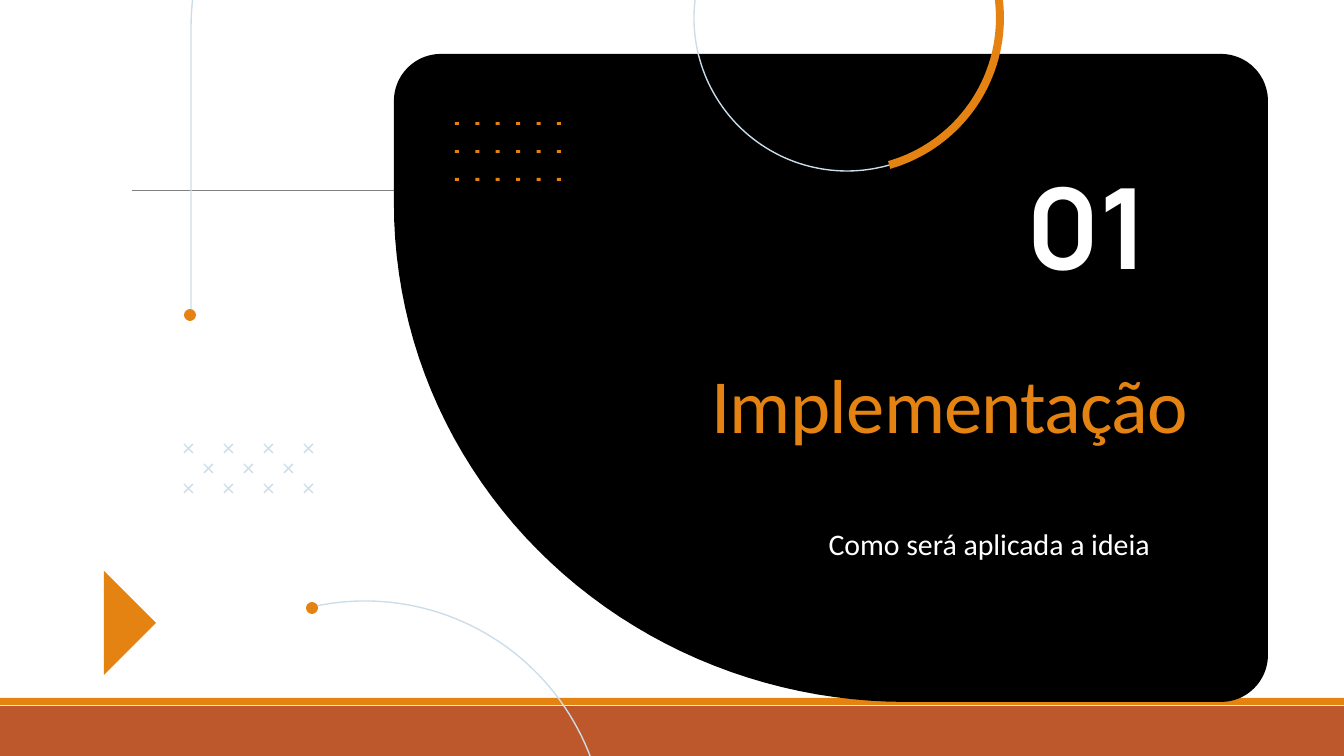
from dataclasses import dataclass
from math import cos, radians, sin

from lxml.etree import SubElement
from pptx import Presentation
from pptx.dml.color import RGBColor
from pptx.enum.shapes import MSO_CONNECTOR as Connector, MSO_SHAPE as Shape
from pptx.enum.text import MSO_ANCHOR as Anchor, PP_ALIGN as Align
from pptx.oxml.ns import qn
from pptx.util import Pt

EMU_PER_PX = 914400 / 134.4


@dataclass(frozen=True)
class Theme:
    black: RGBColor = RGBColor.from_string("000000")
    white: RGBColor = RGBColor.from_string("FFFFFF")
    orange: RGBColor = RGBColor.from_string("E48312")
    rust: RGBColor = RGBColor.from_string("BD582C")
    grey: RGBColor = RGBColor.from_string("808080")
    pale_blue: RGBColor = RGBColor.from_string("CCDDEA")
    body_font: str = "Calibri"
    number_font: str = "Manrope"
    title_size: int = 41
    number_size: int = 60
    subtitle_size: int = 16
    rule_width: float = 0.5
    outline_width: float = 0.75


THEME = Theme()


def px(length):
    return round(length * EMU_PER_PX)


def arc(center_x, center_y, radius_x, radius_y, start, end):
    """Points on an ellipse, in degrees clockwise from the right."""
    steps = max(2, round(abs(end - start) / 2))
    angles = [radians(start + (end - start) * i / steps) for i in range(steps + 1)]
    return [(center_x + radius_x * cos(a), center_y + radius_y * sin(a)) for a in angles]


def paint(shape, color):
    shape.shadow.inherit = False
    shape.fill.solid()
    shape.fill.fore_color.rgb = color
    shape.line.fill.background()


def add_solid(slide, kind, left, top, width, height, color):
    shape = slide.shapes.add_shape(kind, px(left), px(top), px(width), px(height))
    paint(shape, color)


def build_path(slide, points, close):
    start, *rest = [(px(x), px(y)) for x, y in points]
    builder = slide.shapes.build_freeform(*start, scale=1.0)
    builder.add_line_segments(rest, close=close)
    return builder.convert_to_shape()


def add_filled_path(slide, points, color):
    paint(build_path(slide, points, close=True), color)


def add_curve(slide, points):
    shape = build_path(slide, points, close=False)
    shape.shadow.inherit = False
    shape.fill.background()
    shape.line.color.rgb = THEME.pale_blue
    shape.line.width = Pt(THEME.outline_width)


def add_line(slide, x1, y1, x2, y2, color, width):
    connector = slide.shapes.add_connector(
        Connector.STRAIGHT, px(x1), px(y1), px(x2), px(y2))
    connector.line.color.rgb = color
    connector.line.width = Pt(width)
    SubElement(connector._element.spPr, qn("a:effectLst"))


def add_text(slide, text, left, top, width, height, size, color, font=THEME.body_font,
             bold=False, anchor=Anchor.TOP, bottom_inset=0, spacing=0, space_after=0):
    box = slide.shapes.add_textbox(px(left), px(top), px(width), px(height))
    frame = box.text_frame
    frame.word_wrap = True
    frame.vertical_anchor = anchor
    frame.margin_left = frame.margin_right = frame.margin_top = px(13)
    frame.margin_bottom = px(bottom_inset)
    paragraph = frame.paragraphs[0]
    paragraph.text = text
    paragraph.alignment = Align.RIGHT
    paragraph.space_after = Pt(space_after)
    paragraph.font.name = font
    paragraph.font.size = Pt(size)
    paragraph.font.bold = bold
    paragraph.font.color.rgb = color
    if spacing:
        paragraph.runs[0]._r.get_or_add_rPr().set("spc", str(spacing))


def add_panel(slide):
    left, top, right, bottom = 394, 54, 1268, 702
    corner, sweep_x, sweep_y = 47, 512, 498
    points = (
        arc(left + corner, top + corner, corner, corner, 180, 270)
        + arc(right - corner, top + corner, corner, corner, 270, 360)
        + arc(right - corner, bottom - corner, corner, corner, 0, 90)
        + arc(left + sweep_x, bottom - sweep_y, sweep_x, sweep_y, 90, 180)
    )
    add_filled_path(slide, points, THEME.black)


def add_crosses(slide, left=184, top=444, step=20, size=9):
    for row in range(3):
        for column in range(row % 2, 7, 2):
            x, y = left + column * step, top + row * step
            for y1, y2 in ((y, y + size), (y + size, y)):
                add_line(slide, x, y1, x + size, y2, THEME.pale_blue, THEME.outline_width)


def add_dot_grid(slide, left=455, top=122, span=102, row_step=28, columns=6):
    for row in range(3):
        for column in range(columns):
            x = left + span * column / (columns - 1)
            add_solid(slide, Shape.RECTANGLE, x, top + row * row_step, 4, 3, THEME.orange)


def add_end_dot(slide, center_x, center_y):
    add_solid(slide, Shape.OVAL, center_x - 6, center_y - 6, 12, 12, THEME.orange)


def add_ring(slide, x=847, y=18, radius=153, start=-16, end=74):
    """Thin circle whose lower right quarter is a thick band."""
    half = 4
    add_curve(slide, arc(x, y, radius, radius, start, end - 360))
    outer, inner = radius + half, radius - half
    band = arc(x, y, outer, outer, start, end) + arc(x, y, inner, inner, end, start)
    add_filled_path(slide, band, THEME.orange)


def main():
    presentation = Presentation()
    presentation.slide_width, presentation.slide_height = px(1344), px(756)
    slide = presentation.slides.add_slide(presentation.slide_layouts[6])
    slide.background.fill.solid()
    slide.background.fill.fore_color.rgb = THEME.white

    add_solid(slide, Shape.RECTANGLE, 0, 706, 1344, 50, THEME.rust)
    add_solid(slide, Shape.RECTANGLE, 0, 698, 1344, 7, THEME.orange)
    add_line(slide, 132, 191, 1230, 191, THEME.grey, THEME.rule_width)
    add_panel(slide)
    add_filled_path(slide, [(104, 571), (156, 623), (104, 675)], THEME.orange)

    add_text(slide, "Implementação", 633, 344, 568, 212, THEME.title_size, THEME.orange,
             bottom_inset=13, spacing=-40)
    add_text(slide, "01", 993, 148, 169, 144, THEME.number_size, THEME.white,
             font=THEME.number_font, bold=True, anchor=Anchor.BOTTOM, spacing=-40)
    add_text(slide, "Como será aplicada a ideia", 797, 513, 366, 103,
             THEME.subtitle_size, THEME.white, space_after=16)

    add_crosses(slide)
    add_dot_grid(slide)
    add_curve(slide, [(191, 316)] + arc(753, 28, 562, 372, 180, 270) + [(930, -344)])
    add_end_dot(slide, 190, 315)
    add_ring(slide)
    add_curve(slide, arc(365, 842, 241, 241, -102, 170))
    add_end_dot(slide, 312, 608)
    presentation.save("out.pptx")


if __name__ == "__main__":
    main()
